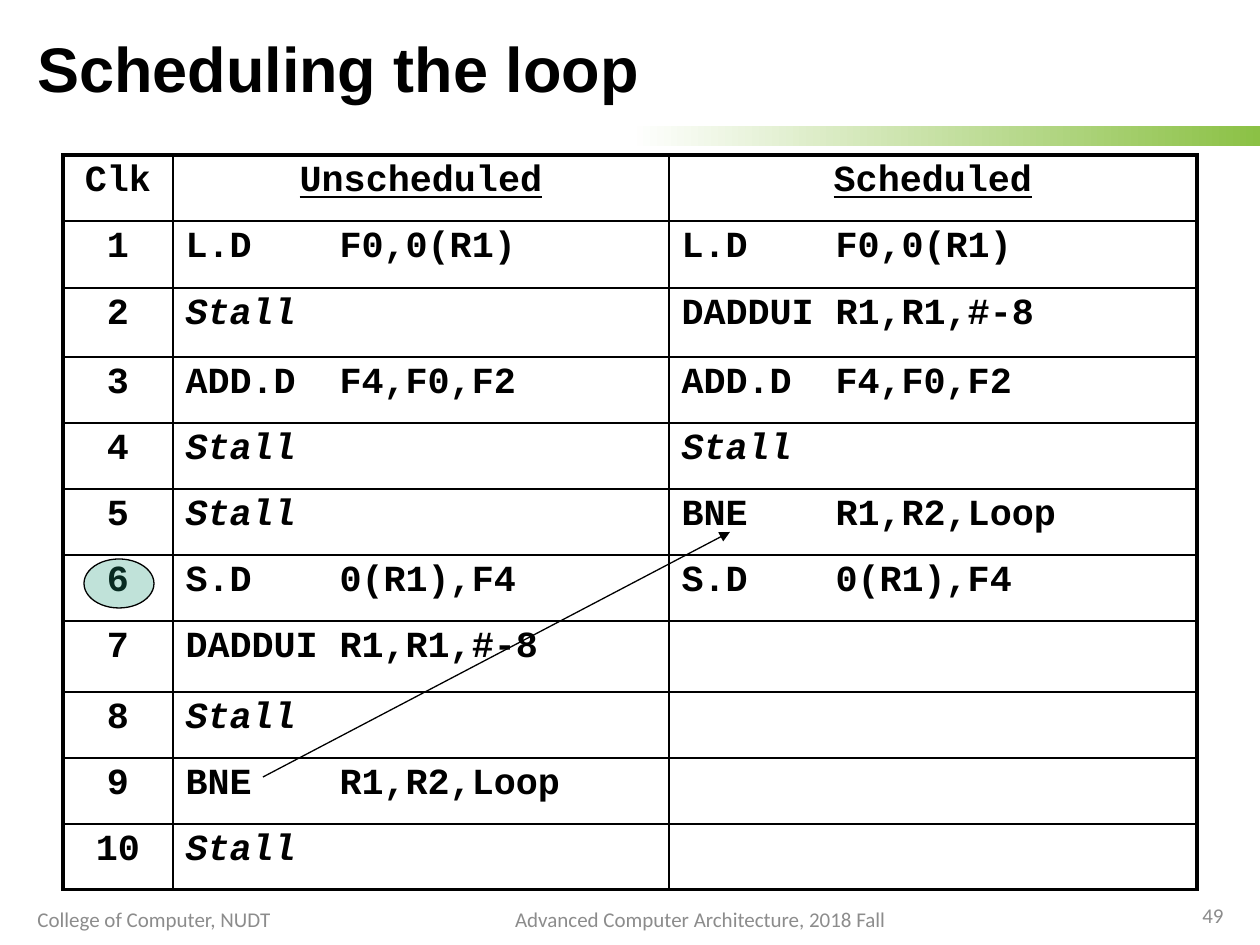
from lxml.etree import SubElement
from pptx import Presentation
from pptx.dml.color import RGBColor
from pptx.enum.shapes import MSO_CONNECTOR as Connector, MSO_SHAPE as Shape
from pptx.enum.text import MSO_ANCHOR as Anchor, PP_ALIGN as Align
from pptx.oxml.ns import qn
from pptx.util import Emu, Pt

PIXEL = 914400 // 126
COLORS = {"ink": "000000", "paper": "FFFFFF", "green": "8BC145",
          "teal": "1D9A78", "footer": "8C8C8C"}

COLUMNS = [110, 496, 528]
ROWS = [66, 67, 69, 66, 66, 66, 66, 71, 66, 66, 66]
OPERAND_TAB = 154
STALL = "Stall"
LOAD, ADD, STORE = "L.D\tF0,0(R1)", "ADD.D\tF4,F0,F2", "S.D\t0(R1),F4"
STEP, BRANCH = "DADDUI\tR1,R1,#-8", "BNE\tR1,R2,Loop"
UNSCHEDULED = [LOAD, STALL, ADD, STALL, STALL, STORE, STEP, STALL, BRANCH, STALL]
SCHEDULED = [LOAD, STEP, ADD, STALL, BRANCH, STORE, "", "", "", ""]


def px(value):
    return Emu(value * PIXEL)


def color(name):
    return RGBColor.from_string(COLORS[name])


def style(para, size, font, ink="ink", bold=False, align=Align.LEFT):
    para.alignment = align
    para.font.size = Pt(size)
    para.font.name = font
    para.font.bold = bold
    para.font.color.rgb = color(ink)


def add_text(page, box, text, size, font, **look):
    frame = page.shapes.add_textbox(*map(px, box)).text_frame
    frame.word_wrap = True
    frame.vertical_anchor = Anchor.MIDDLE
    para = frame.paragraphs[0]
    para.text = text
    style(para, size, font, **look)
    return para


def add_header(page, box):
    left, top, width, height = box
    # Fading bar under the right half of the title
    bar = page.shapes.add_shape(Shape.RECTANGLE, px(left + width // 2), px(top + height - 20),
                                px(width // 2), px(20))
    bar.shadow.inherit = False
    bar.line.fill.background()
    bar.fill.gradient()
    bar.fill.gradient_angle = 0
    for stop, name, position in zip(bar.fill.gradient_stops, ("paper", "green"), (0, 1)):
        stop.color.rgb = color(name)
        stop.position = position
    # Title
    title = add_text(page, (left + 25, top + 19, width - 49, 107), "Scheduling the loop",
                     36, "Arial", bold=True)
    title.line_spacing = 0.9


def add_footer(page, box):
    left, top, width, height = box
    parts = [(25, 4, 284, "College of Computer, NUDT", Align.LEFT),
             (413, 4, 575, "Advanced Computer Architecture, 2018 Fall", Align.CENTER),
             (1107, 0, 129, "49", Align.RIGHT)]
    for x, y, part_width, text, align in parts:
        add_text(page, (left + x, top + y, part_width, height), text, 12, "Calibri",
                 ink="footer", align=align)


def set_borders(cell, widths):
    properties = cell._tc.get_or_add_tcPr()
    for side, width in zip("LRTB", widths):
        line = SubElement(properties, qn(f"a:ln{side}"), w=str(Pt(width)))
        fill = SubElement(line, qn("a:solidFill"))
        SubElement(fill, qn("a:srgbClr"), val=COLORS["ink"])


def add_operand_tab(para):
    stops = SubElement(para._p.get_or_add_pPr(), qn("a:tabLst"))
    SubElement(stops, qn("a:tab"), pos=str(px(OPERAND_TAB)), algn="l")


def fill_cell(cell, text, row, column):
    edges = (column == 0, column == len(COLUMNS) - 1, row == 0, row == len(ROWS) - 1)
    set_borders(cell, [2.25 if edge else 1 for edge in edges])
    cell.fill.background()
    para = cell.text_frame.paragraphs[0]
    para.text = text
    para.line_spacing = 0.9
    if "\t" in text:
        add_operand_tab(para)
    centred = row == 0 or column == 0
    style(para, 21, "Courier New", bold=True, align=Align.CENTER if centred else Align.LEFT)
    para.font.italic = text == STALL
    para.font.underline = row == 0 and column > 0


def add_schedule(page, box):
    left, top, width, height = box
    table = page.shapes.add_table(len(ROWS), len(COLUMNS), *map(px, box)).table
    table.first_row = table.horz_banding = False
    for column, size in zip(table.columns, COLUMNS):
        column.width = px(size)
    for row, size in zip(table.rows, ROWS):
        row.height = px(size)
    clocks = map(str, range(1, len(ROWS)))
    lines = [("Clk", "Unscheduled", "Scheduled"), *zip(clocks, UNSCHEDULED, SCHEDULED)]
    for row, texts in enumerate(lines):
        for column, text in enumerate(texts):
            fill_cell(table.cell(row, column), text, row, column)

    # Arrow showing where the branch moves
    arrow = page.shapes.add_connector(Connector.STRAIGHT, px(left + 200), px(top + 622),
                                      px(left + 667), px(top + 377))
    arrow.line.color.rgb = color("ink")
    arrow.line.width = Pt(0.75)
    SubElement(arrow.line._get_or_add_ln(), qn("a:tailEnd"), type="triangle")
    SubElement(arrow._element.spPr, qn("a:effectLst"))

    # Ring around the last scheduled clock
    ring = page.shapes.add_shape(Shape.OVAL, px(left + 21), px(top + 404), px(70), px(49))
    ring.shadow.inherit = False
    ring.fill.solid()
    ring.fill.fore_color.rgb = color("teal")
    tint = ring._element.spPr.find(qn("a:solidFill"))[0]
    SubElement(tint, qn("a:alpha"), val="28000")
    ring.line.color.rgb = color("ink")
    ring.line.width = Pt(0.75)


deck = Presentation()
deck.slide_width, deck.slide_height = px(1260), px(945)
page = deck.slides.add_slide(deck.slide_layouts[6])
add_header(page, (0, 0, 1260, 146))
add_footer(page, (0, 890, 1260, 50))
add_schedule(page, (63, 155, sum(COLUMNS), sum(ROWS)))
deck.save("out.pptx")
